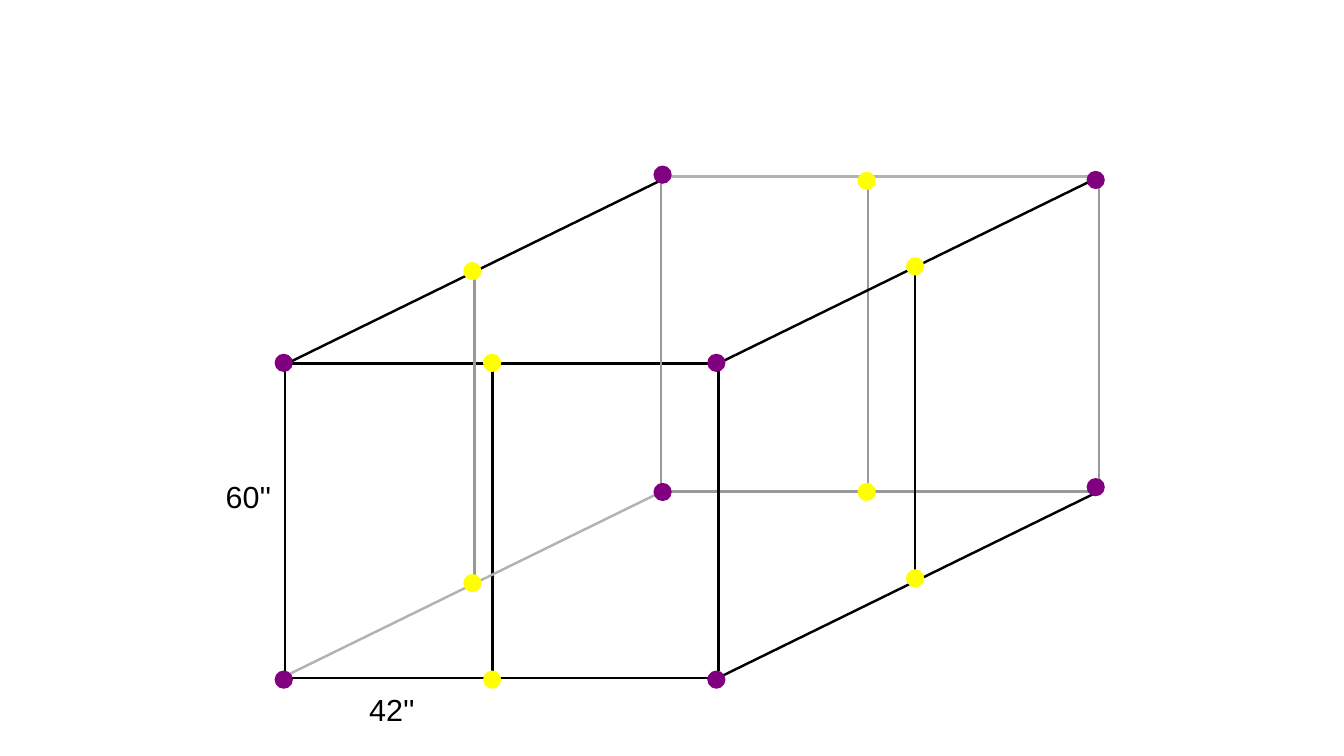
import pptx
import pptx.util
import pptx.dml.color
import pptx.enum.shapes
import pptx.enum.text
import pptx.oxml.ns
from lxml import etree

Cm, Pt = pptx.util.Cm, pptx.util.Pt
RGB = pptx.dml.color.RGBColor.from_string
COLORS = {"front": "000000", "back": "999999", "faint": "B2B2B2",
          "corner": "800080", "middle": "FFFF00", "text": "000000"}

prs = pptx.Presentation()
prs.slide_width, prs.slide_height = Cm(27.99), Cm(15.75)
s = prs.slides.add_slide(prs.slide_layouts[6])


def add_label(text, left, top, size=18, font="Arial", color="text"):
    sp = s.shapes.add_textbox(Cm(left), Cm(top), Cm(1.45), Cm(0.97))
    tf = sp.text_frame
    tf.word_wrap = False
    tf.auto_size = pptx.enum.text.MSO_AUTO_SIZE.SHAPE_TO_FIT_TEXT
    r = tf.paragraphs[0].add_run()
    r.text = text
    r.font.size, r.font.name = Pt(size), font
    r.font.color.rgb = RGB(COLORS[color])


# Frame edges: each direction has one run (dx, dy) and its start points
edges = [
    # Width
    ((8.89, 0), [(5.94, 14.12, "front"), (5.99, 7.57, "front"),
                 (13.92, 3.68, "faint"), (13.87, 10.24, "back")]),
    # Height
    ((0, -6.35), [(5.94, 13.97, "front"), (10.26, 13.97, "front"),
                  (14.96, 13.97, "front"), (22.89, 10.08, "back"),
                  (18.08, 10.08, "back"), (13.77, 10.08, "back"),
                  (19.05, 12.07, "front"), (9.88, 12.17, "back")]),
    # Depth
    ((7.98, -3.91), [(14.96, 14.12, "front"), (5.94, 7.59, "front"),
                     (14.86, 7.62, "front"), (5.87, 14.12, "faint")]),
]
for (dx, dy), starts in edges:
    for x, y, color in starts:
        edge = s.shapes.add_connector(
            pptx.enum.shapes.MSO_CONNECTOR.STRAIGHT,
            Cm(x), Cm(y), Cm(x + dx), Cm(y + dy))
        edge.line.color.rgb = RGB(COLORS[color])
        edge.line.width = Pt(1.45)
        etree.SubElement(edge._element.spPr, pptx.oxml.ns.qn("a:effectLst"))

# Joints: left, upper top and lower top of each upright
joints = [
    (5.72, 7.37, 13.97, "corner"), (14.73, 7.37, 13.97, "corner"),
    (13.61, 3.45, 10.06, "corner"), (22.63, 3.56, 9.96, "corner"),
    (10.06, 7.37, 13.97, "middle"), (9.65, 5.46, 11.96, "middle"),
    (18.87, 5.36, 11.86, "middle"), (17.86, 3.58, 10.06, "middle"),
]
for left, upper, lower, color in joints:
    for top in (upper, lower):
        sp = s.shapes.add_shape(pptx.enum.shapes.MSO_SHAPE.OVAL,
                                Cm(left), Cm(top), Cm(0.38), Cm(0.38))
        sp.shadow.inherit = False
        sp.fill.solid()
        sp.fill.fore_color.rgb = RGB(COLORS[color])
        sp.line.fill.background()

# Dimensions
add_label("60''", 4.45, 9.83)
add_label("42''", 7.44, 14.27)

prs.save("out.pptx")
